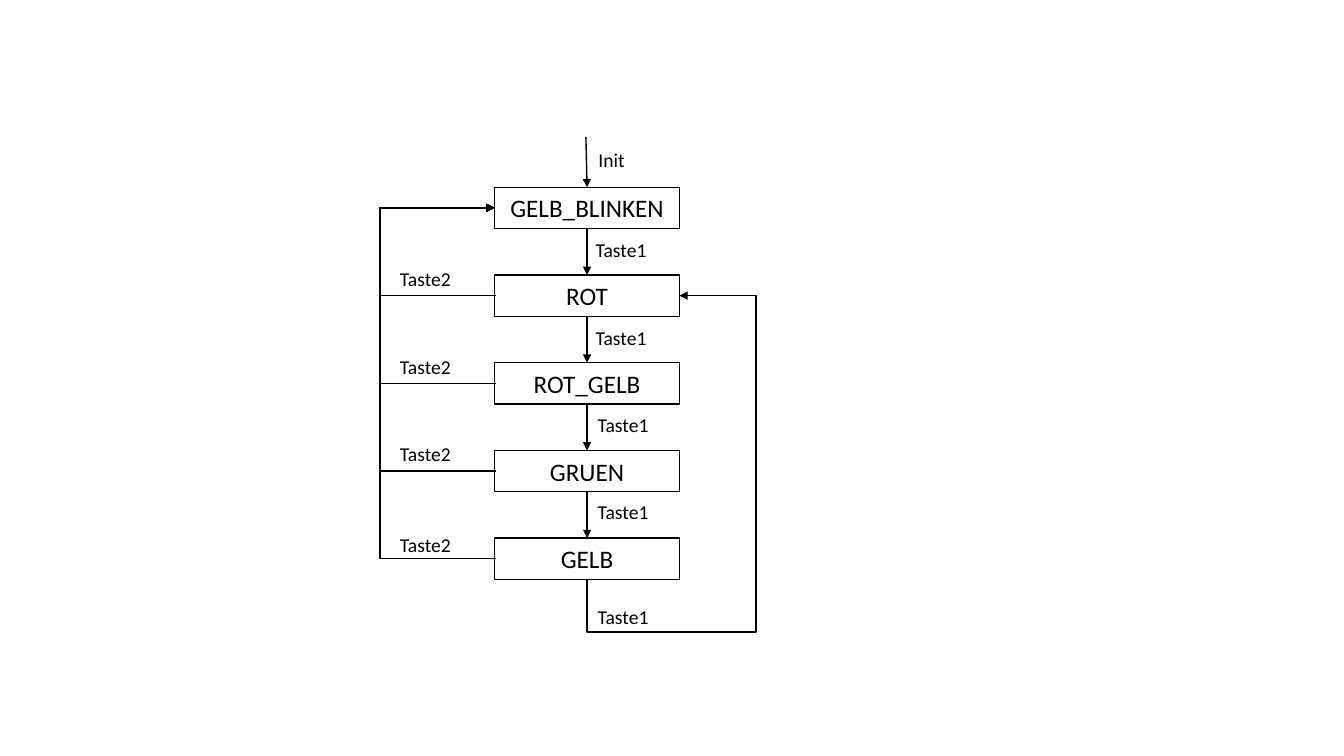
"""Build a slide with the state diagram of a traffic light."""
import pptx
import pptx.util
import pptx.dml.color
import pptx.enum.shapes
import pptx.enum.text
import pptx.oxml
import pptx.oxml.ns
from dataclasses import dataclass
from lxml import etree

Cm = pptx.util.Cm
qn = pptx.oxml.ns.qn
Kind = pptx.enum.shapes.MSO_CONNECTOR


@dataclass
class Theme:
    font: str = "Calibri"
    ink: pptx.dml.color.RGBColor = pptx.dml.color.RGBColor(0, 0, 0)
    state_size: int = 18
    label_size: int = 14
    line_width: int = 1


theme = Theme()


def add_text(box, text, size, align):
    frame = box.text_frame
    frame.word_wrap = True
    para = frame.paragraphs[0]
    para.alignment = align
    span = para.add_run()
    span.text = text
    span.font.name = theme.font
    span.font.size = pptx.util.Pt(size)
    span.font.color.rgb = theme.ink


def add_arrow(page, kind, start, end, bends=(), preset=None):
    arrow = page.shapes.add_connector(kind, *map(Cm, start + end))
    arrow.line.width = pptx.util.Pt(theme.line_width)
    arrow.line.color.rgb = theme.ink
    properties = arrow._element.spPr
    outline = properties.find(qn("a:ln"))
    etree.SubElement(outline, qn("a:tailEnd"), type="triangle")
    etree.SubElement(properties, qn("a:effectLst"))
    geometry = properties.find(qn("a:prstGeom"))
    if preset:
        geometry.set("prst", preset)
    guides = geometry.get_or_add_avLst()
    for number, bend in enumerate(bends, 1):
        etree.SubElement(guides, qn("a:gd"), name=f"adj{number}",
                         fmla=f"val {round(bend * 100000)}")
    return arrow


deck = pptx.Presentation()
deck.slide_width, deck.slide_height = Cm(33.87), Cm(19.05)
page = deck.slides.add_slide(deck.slide_layouts[6])

left, top, width, height, pitch = 12.47, 4.72, 4.65, 1.04, 2.21
center, right = left + width / 2, left + width
states = ["GELB_BLINKEN", "ROT", "ROT_GELB", "GRUEN", "GELB"]
boxes = []
for row, state in enumerate(states):
    box = page.shapes.add_shape(
        pptx.enum.shapes.MSO_SHAPE.RECTANGLE,
        Cm(left), Cm(top + row * pitch), Cm(width), Cm(height))
    box.shadow.inherit = False
    box.fill.background()
    box.line.color.rgb = theme.ink
    box.line.width = pptx.util.Pt(theme.line_width)
    box.text_frame.vertical_anchor = pptx.enum.text.MSO_ANCHOR.MIDDLE
    add_text(box, state, theme.state_size, pptx.enum.text.PP_ALIGN.CENTER)
    boxes.append(box)

add_arrow(page, Kind.STRAIGHT, (center - 0.03, 3.45), (center, top))
for upper, lower in zip(boxes, boxes[1:]):
    arrow = add_arrow(page, Kind.STRAIGHT, (center, top), (center, top + pitch))
    arrow.begin_connect(upper, 2)
    arrow.end_connect(lower, 0)

bus, start_x = 9.58, left + 0.03
bend = (start_x - bus) / (start_x - left)
target_y = top + height / 2
for row in range(len(states) - 1, 0, -1):
    add_arrow(page, Kind.ELBOW, (start_x, target_y + row * pitch),
              (left, target_y), [bend])

loop_top, loop_bottom = target_y + pitch, top + 4 * pitch + height
loop_floor, loop_right = 15.93, 19.05
rise, run = loop_bottom - loop_top, right - center
middle_x, middle_y = (center + right) / 2, (loop_top + loop_bottom) / 2
loop = add_arrow(
    page, Kind.ELBOW,
    (middle_x + rise / 2, middle_y + run / 2),
    (middle_x - rise / 2, middle_y - run / 2),
    [(loop_bottom - loop_floor) / rise, (loop_right - center) / run],
    "bentConnector4")
loop._element.spPr.find(qn("a:xfrm")).set("rot", "5400000")

labels = [
    ("Init", 14.83, [3.61]),
    ("Taste1", 14.76, [5.87, 8.08]),
    ("Taste1", 14.81, [10.29, 12.47, 15.11]),
    ("Taste2", 9.83, [6.6, 8.81, 11.0, 13.31]),
]
for text, label_x, heights in labels:
    for label_y in heights:
        label = page.shapes.add_textbox(
            Cm(label_x), Cm(label_y), Cm(2.34), Cm(0.86))
        add_text(label, text, theme.label_size, pptx.enum.text.PP_ALIGN.LEFT)
        label.text_frame.auto_size = pptx.enum.text.MSO_AUTO_SIZE.SHAPE_TO_FIT_TEXT

deck.save("out.pptx")
